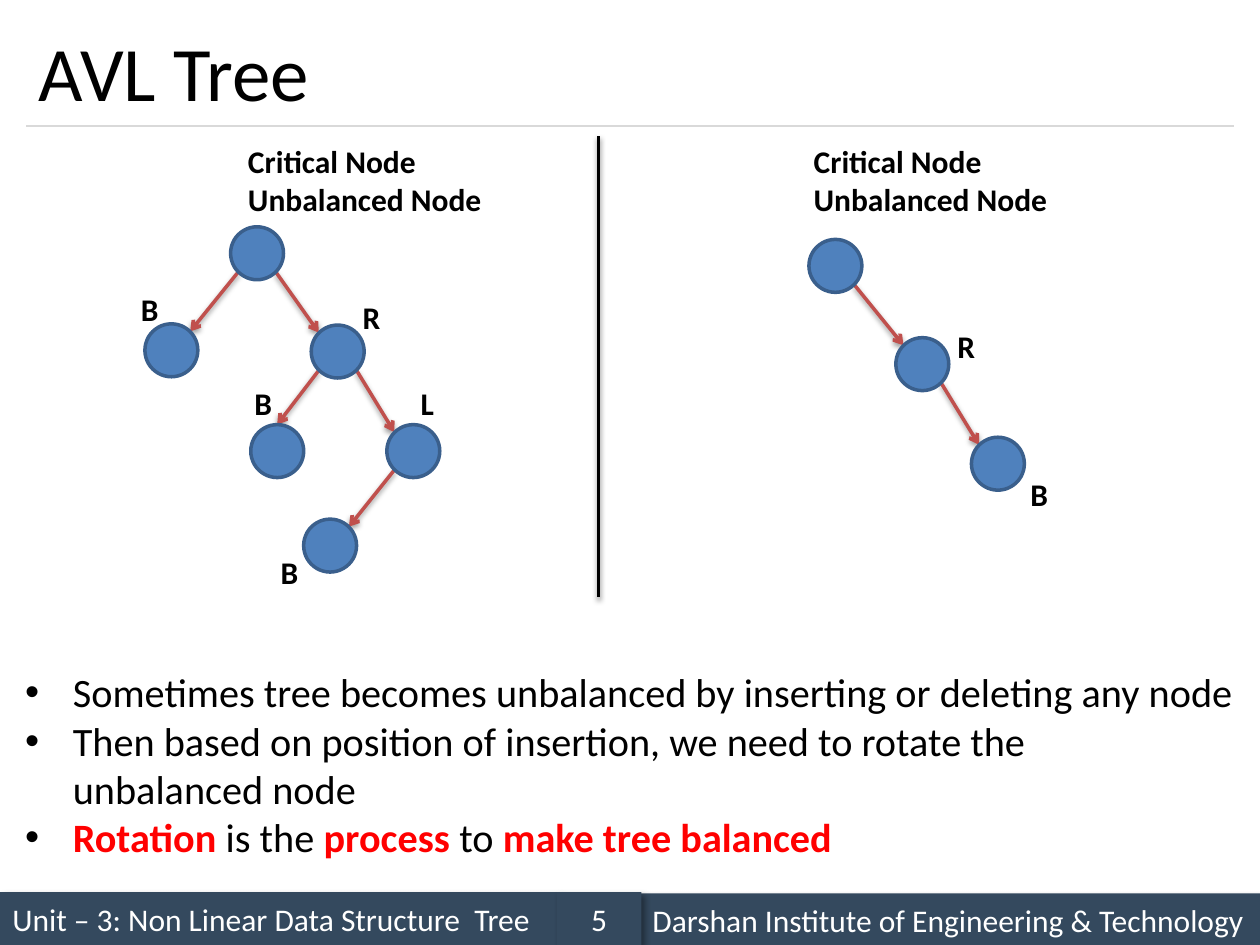
from typing import NamedTuple

from pptx import Presentation
from pptx.dml.color import RGBColor
from pptx.enum.shapes import MSO_CONNECTOR, MSO_SHAPE
from pptx.enum.text import MSO_ANCHOR, PP_ALIGN
from pptx.oxml import parse_xml
from pptx.oxml.ns import nsdecls
from pptx.util import Inches, Pt

BLACK = RGBColor(0x00, 0x00, 0x00)
WHITE = RGBColor(0xFF, 0xFF, 0xFF)
RED = RGBColor(0xFF, 0x00, 0x00)
NAVY = RGBColor(0x34, 0x49, 0x5E)
GREY = RGBColor(0xD9, 0xD9, 0xD9)
BLUE = RGBColor(0x4F, 0x81, 0xBD)
EDGE = RGBColor(0x3A, 0x5F, 0x8C)
ROSE = RGBColor(0xC0, 0x50, 0x4D)
RADIUS = 0.21
DIAG = 0.15


class Node(NamedTuple):
    x: float
    y: float


class Link(NamedTuple):
    start: Node
    end: Node
    top: bool = False


class Label(NamedTuple):
    text: str
    x: float
    y: float
    width: float = 0.34
    height: float = 0.4


class Bar(NamedTuple):
    text: str
    x: float
    y: float
    width: float
    align: PP_ALIGN = PP_ALIGN.LEFT


class Span(NamedTuple):
    text: str
    key: bool = False


def put_text(frame, paras, *, size=18, color=BLACK, bold=False, wrap=False,
             align=PP_ALIGN.LEFT, anchor=MSO_ANCHOR.TOP, bullet=False) -> None:
    frame.word_wrap = wrap
    frame.vertical_anchor = anchor
    for i, spans in enumerate(paras):
        para = frame.paragraphs[0] if i == 0 else frame.add_paragraph()
        para.alignment = align
        if bullet:
            add_bullet(para)
        for span in spans:
            for j, part in enumerate(span.text.split("\n")):
                if j:
                    para.add_line_break()
                run = para.add_run()
                run.text = part
                font = run.font
                font.name = "Calibri"
                font.size = Pt(size)
                font.bold = bold or span.key
                font.color.rgb = RED if span.key else color


def add_bullet(para) -> None:
    props = para._p.get_or_add_pPr()
    props.set("marL", str(Inches(0.38)))
    props.set("indent", str(Inches(-0.38)))
    for tag in ('buClr {}><a:srgbClr val="000000"/></a:buClr>',
                'buFont {} typeface="Arial"/>',
                'buChar {} char="•"/>'):
        props.append(parse_xml("<a:" + tag.format(nsdecls("a"))))


def add_box(slide, x: float, y: float, width: float, height: float):
    box = slide.shapes.add_textbox(
        Inches(x), Inches(y), Inches(width), Inches(height))
    return box.text_frame


def shade(props, alpha: int, blur: float, dist: float, angle: int) -> None:
    props.append(parse_xml(
        f'<a:effectLst {nsdecls("a")}><a:outerShdw blurRad="{Pt(blur)}" '
        f'dist="{Pt(dist)}" dir="{angle * 60000}" rotWithShape="0">'
        f'<a:srgbClr val="000000"><a:alpha val="{alpha * 1000}"/></a:srgbClr>'
        '</a:outerShdw></a:effectLst>'))


def draw_line(slide, start: Node, end: Node, color: RGBColor,
              width: float = 2, arrow: bool = False, dark: bool = True) -> None:
    line = slide.shapes.add_connector(
        MSO_CONNECTOR.STRAIGHT, Inches(start.x), Inches(start.y),
        Inches(end.x), Inches(end.y))
    line.line.color.rgb = color
    line.line.width = Pt(width)
    props = line._element.spPr
    if arrow:
        line.line._get_or_add_ln().append(
            parse_xml(f'<a:tailEnd {nsdecls("a")} type="arrow"/>'))
    if dark:
        shade(props, 38, 3.1, 1.6, 90)
    else:
        props.append(parse_xml(f'<a:effectLst {nsdecls("a")}/>'))


def draw_link(slide, link: Link) -> None:
    a, b, top = link
    side = DIAG if b.x > a.x else -DIAG
    start = Node(a.x + side, a.y + DIAG)
    end = Node(b.x, b.y - RADIUS) if top else Node(b.x - side, b.y - DIAG)
    draw_line(slide, start, end, ROSE, arrow=True)


def draw_node(slide, node: Node) -> None:
    disc = slide.shapes.add_shape(
        MSO_SHAPE.OVAL, Inches(node.x - RADIUS), Inches(node.y - RADIUS),
        Inches(2 * RADIUS), Inches(2 * RADIUS))
    disc.shadow.inherit = False
    disc.fill.solid()
    disc.fill.fore_color.rgb = BLUE
    disc.line.color.rgb = EDGE
    disc.line.width = Pt(2)


def draw_bar(slide, bar: Bar) -> None:
    rect = slide.shapes.add_shape(
        MSO_SHAPE.RECTANGLE, Inches(bar.x), Inches(bar.y),
        Inches(bar.width), Inches(0.42))
    rect.fill.solid()
    rect.fill.fore_color.rgb = NAVY
    rect.line.fill.background()
    shade(rect._element.spPr, 40, 4, 3, 45)
    put_text(rect.text_frame, [[Span(bar.text)]], color=WHITE, wrap=True,
             align=bar.align, anchor=MSO_ANCHOR.MIDDLE)


def draw_label(slide, label: Label) -> None:
    frame = add_box(slide, label.x, label.y, label.width, label.height)
    put_text(frame, [[Span(row)] for row in label.text.split("\n")], bold=True)


ROOT, LEFT, RIGHT = Node(2.04, 2.01), Node(1.36, 2.78), Node(2.68, 2.79)
INNER, OUTER, LEAF = Node(2.2, 3.58), Node(3.28, 3.58), Node(2.62, 4.33)
HEAD, MID, TAIL = Node(6.63, 2.11), Node(7.32, 2.89), Node(7.92, 3.68)
NODES = [ROOT, LEFT, RIGHT, INNER, OUTER, LEAF, HEAD, MID, TAIL]
LINKS = [Link(ROOT, LEFT), Link(ROOT, RIGHT), Link(RIGHT, INNER, True),
         Link(RIGHT, OUTER), Link(OUTER, LEAF), Link(HEAD, MID),
         Link(MID, TAIL)]
NOTE = "Critical Node\nUnbalanced Node"
LABELS = [
    Label(NOTE, 1.87, 1.08, 2.07, 0.71), Label(NOTE, 6.36, 1.08, 2.07, 0.71),
    Label("B", 1.02, 2.25), Label("R", 2.78, 2.32), Label("B", 1.92, 3),
    Label("L", 3.24, 3, 0.31), Label("B", 2.13, 4.34),
    Label("R", 7.5, 2.55), Label("B", 8.08, 3.72),
]
BARS = [
    Bar("Unit – 3: Non Linear Data Structure  Tree", 0, 7.08, 4.42),
    Bar("Darshan Institute of Engineering & Technology", 5.08, 7.09, 4.92),
    Bar("5", 4.42, 7.08, 0.67, PP_ALIGN.CENTER),
]
POINTS = [
    [Span("Sometimes tree becomes unbalanced by inserting or deleting any node")],
    [Span("Then based on position of insertion, we need to rotate the \n"
          "unbalanced node")],
    [Span("Rotation", True), Span(" is the "), Span("process ", True),
     Span("to "), Span("make tree balanced", True)],
]


def main() -> None:
    deck = Presentation()
    deck.slide_width, deck.slide_height = Inches(10), Inches(7.5)
    slide = deck.slides.add_slide(deck.slide_layouts[6])
    for bar in BARS:
        draw_bar(slide, bar)
    draw_line(slide, Node(0.21, 1), Node(9.79, 1), GREY, 0.75, dark=False)
    put_text(add_box(slide, 0.21, 0.12, 9.58, 0.88), [[Span("AVL Tree")]],
             size=44, wrap=True, anchor=MSO_ANCHOR.MIDDLE)
    draw_line(slide, Node(4.75, 1.08), Node(4.75, 4.74), BLACK)
    for link in LINKS:
        draw_link(slide, link)
    for node in NODES:
        draw_node(slide, node)
    for label in LABELS:
        draw_label(slide, label)
    put_text(add_box(slide, 0.1, 5.25, 9.91, 1.65), POINTS, size=23,
             wrap=True, bullet=True)
    deck.save("out.pptx")


if __name__ == "__main__":
    main()
